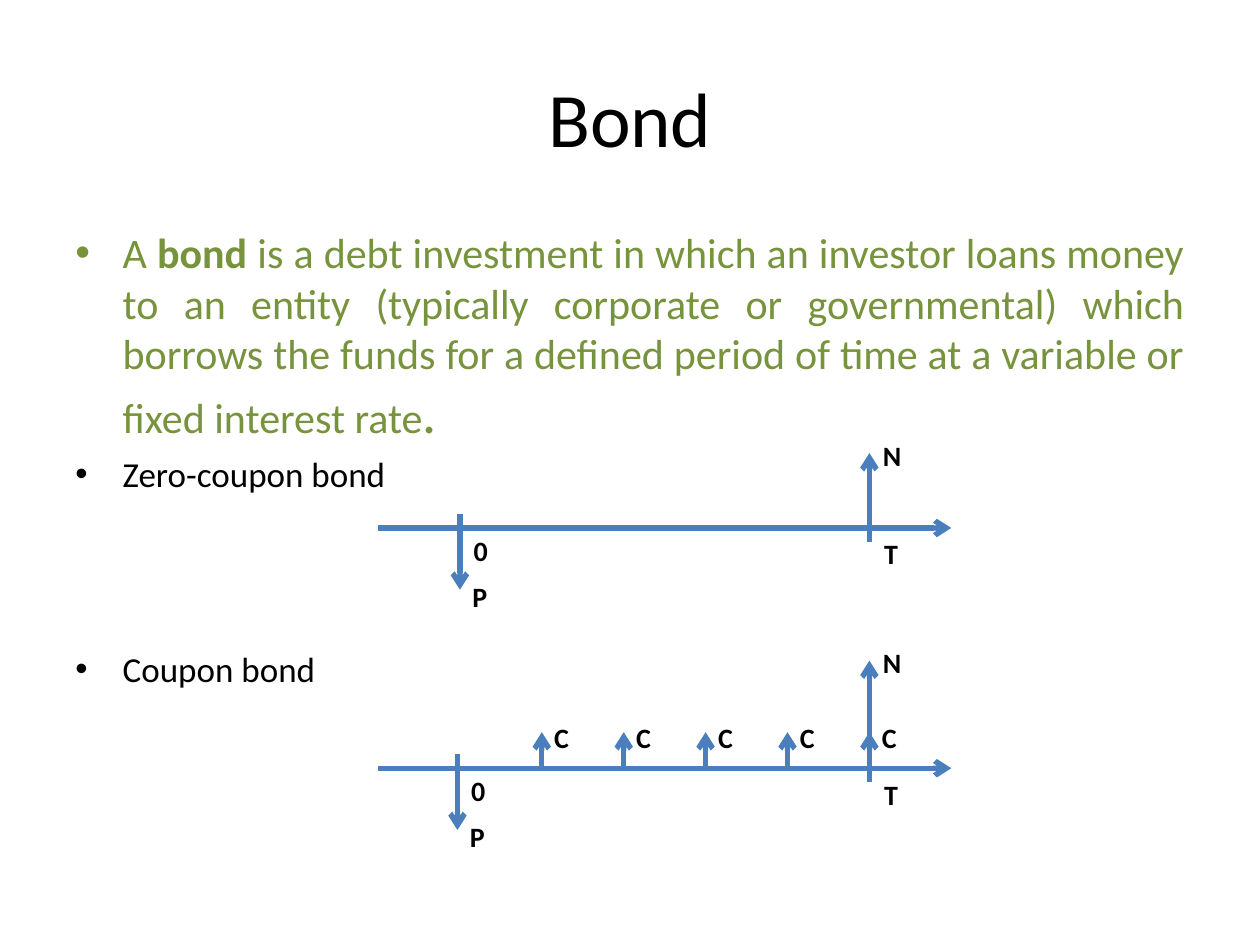
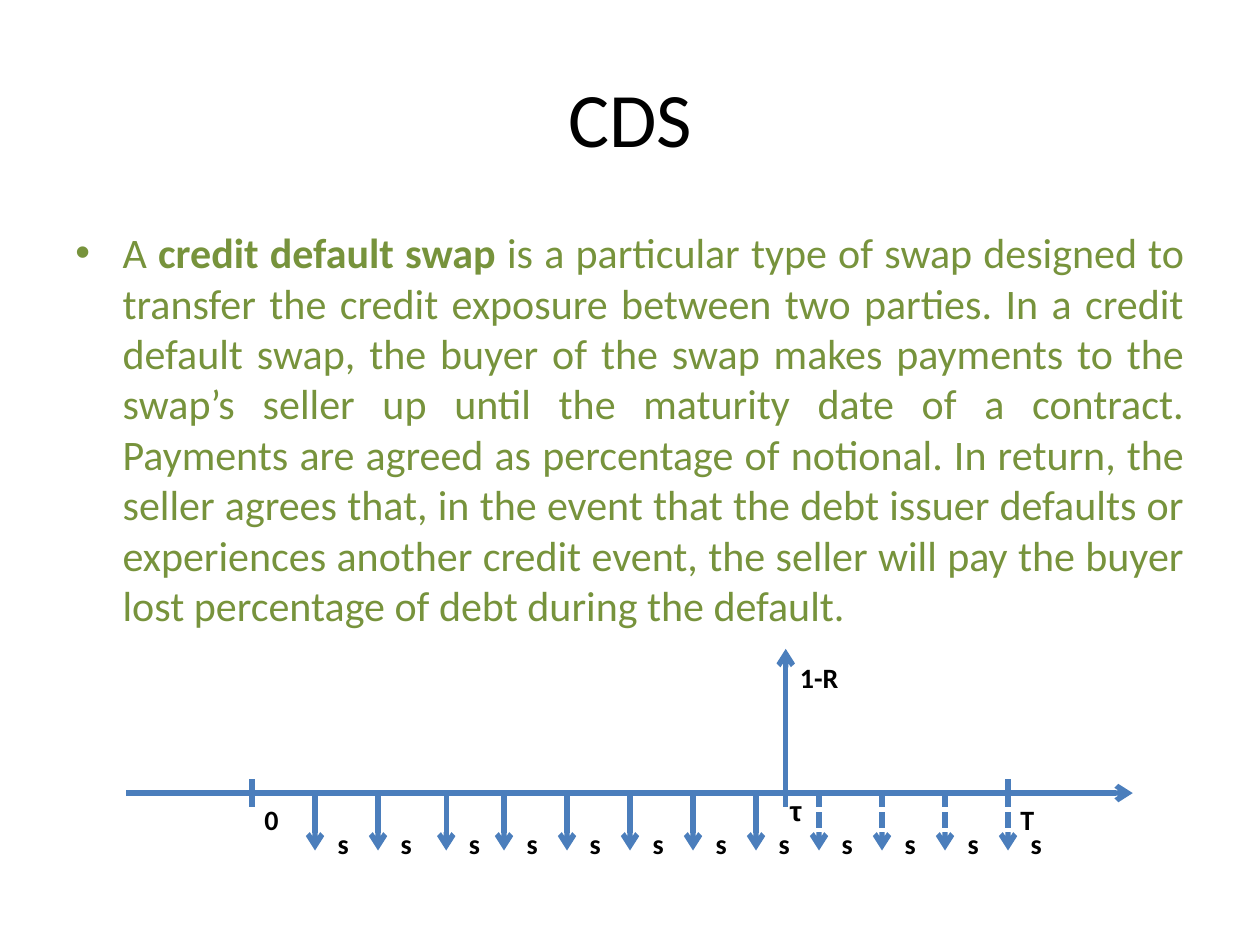
import dataclasses

import pptx
import pptx.dml.color
import pptx.enum.dml
import pptx.enum.text
import pptx.oxml
import pptx.oxml.ns
import pptx.util
from lxml import etree

Pt = pptx.util.Pt
ALIGN = pptx.enum.text.PP_ALIGN


@dataclasses.dataclass(frozen=True)
class Theme:
    """Colours, fonts and sizes shared by the slides."""
    ink: str = "000000"
    green: str = "77933C"
    blue: str = "4B7EBC"
    font: str = "Calibri"
    symbol_font: str = "Arial"
    title_size: int = 44
    lead_size: int = 24
    stop_size: int = 32
    item_size: int = 20
    label_size: int = 16
    line_width: int = 3


THEME = Theme()
LABEL_WIDTHS = {"1-R": 37, "N": 25, "s": 21}


def format_span(span, size, color=THEME.ink, bold=False, font=THEME.font):
    """Set the type of one run."""
    span.font.name = font
    span.font.size = Pt(size)
    span.font.bold = bold
    span.font.color.rgb = pptx.dml.color.RGBColor.from_string(color)


def add_page(deck, title):
    """Add a title-only slide with a centred title."""
    page = deck.slides.add_slide(deck.slide_layouts[5])
    box = page.shapes.title
    box.left, box.top, box.width, box.height = Pt(36), Pt(21.6), Pt(648), Pt(90)
    frame = box.text_frame
    frame.text = title
    frame.vertical_anchor = pptx.enum.text.MSO_ANCHOR.MIDDLE
    para = frame.paragraphs[0]
    para.alignment = ALIGN.CENTER
    format_span(para.runs[0], THEME.title_size)
    return page


def add_body(page):
    """Add the text area below the title and return its frame."""
    box = page.shapes.add_textbox(Pt(36), Pt(126), Pt(648), Pt(356.4))
    box.text_frame.word_wrap = True
    return box.text_frame


def format_bullet(para, color, space_before=0):
    """Give a paragraph a hanging round bullet."""
    para.alignment = ALIGN.JUSTIFY
    para.space_before = Pt(space_before)
    props = para._p.get_or_add_pPr()
    props.set("marL", str(Pt(27)))
    props.set("indent", str(Pt(-27)))
    fill = etree.SubElement(props, pptx.oxml.ns.qn("a:buClr"))
    etree.SubElement(fill, pptx.oxml.ns.qn("a:srgbClr"), val=color)
    etree.SubElement(props, pptx.oxml.ns.qn("a:buFont"), typeface="Arial")
    etree.SubElement(props, pptx.oxml.ns.qn("a:buChar"), char="•")


def add_definition(frame, term, meaning, stop=""):
    """Write the green definition with its term in bold."""
    para = frame.paragraphs[0]
    format_bullet(para, THEME.green)
    for text, size, bold in (("A ", THEME.lead_size, False), (term, THEME.lead_size, True),
                             (meaning, THEME.lead_size, False), (stop, THEME.stop_size, False)):
        if text:
            span = para.add_run()
            span.text = text
            format_span(span, size, THEME.green, bold)


def add_item(frame, text, space_before):
    """Add a black bullet item."""
    para = frame.add_paragraph()
    para.text = text
    format_bullet(para, THEME.ink, space_before)
    format_span(para.runs[0], THEME.item_size)


def add_line(page, start, end, arrow=False, dashed=False):
    """Draw a blue line, optionally with an arrowhead at its end."""
    line = page.shapes.add_connector(1, *(Pt(value) for value in (*start, *end)))
    line.line.color.rgb = pptx.dml.color.RGBColor.from_string(THEME.blue)
    line.line.width = Pt(THEME.line_width)
    if dashed:
        line.line.dash_style = pptx.enum.dml.MSO_LINE.SQUARE_DOT
    props = line.element.spPr
    if arrow:
        stroke = props.find(pptx.oxml.ns.qn("a:ln"))
        etree.SubElement(stroke, pptx.oxml.ns.qn("a:tailEnd"), type="arrow")
    etree.SubElement(props, pptx.oxml.ns.qn("a:effectLst"))


def add_tick(page, x, y):
    """Mark a date on a time axis."""
    add_line(page, (x, y - 8), (x, y + 8))


def add_label(page, text, x, y, font=THEME.font):
    """Add a short bold label with its top left corner at x, y."""
    box = page.shapes.add_textbox(Pt(x), Pt(y), Pt(LABEL_WIDTHS.get(text, 23)), Pt(26.6))
    frame = box.text_frame
    frame.text = text
    frame.word_wrap = False
    frame.auto_size = pptx.enum.text.MSO_AUTO_SIZE.SHAPE_TO_FIT_TEXT
    format_span(frame.paragraphs[0].runs[0], THEME.label_size, bold=True, font=font)


def add_bond_flows(page, issue, y, coupons=0):
    """Draw a bond's payments along a time axis at height y."""
    maturity, step = 496.8, 46.8
    base = y - 18.7 if coupons else y
    add_line(page, (216, y), (543.6, y), arrow=True)
    add_tick(page, issue, y)
    add_tick(page, maturity, y)
    add_line(page, (issue, y + 1.4), (issue, y + 35.3), arrow=True)
    add_line(page, (maturity, base), (maturity, base - 42.8), arrow=True)
    add_label(page, "P", issue, y + 26)
    add_label(page, "0", issue + 0.7, y - 0.5)
    add_label(page, "T", maturity + 1.4, y + 1.5)
    add_label(page, "N", maturity + 0.7, base - 54.7)
    for index in range(coupons):
        x = maturity - index * step
        add_line(page, (x, y + 1), (x, y - 20.6), arrow=True)
        add_label(page, "C", x, y - 31)


def add_swap_flows(page, y):
    """Draw the premiums and the default payment of a swap."""
    start, default, maturity = 144, 449, 576
    add_line(page, (default, y - 1), (default, y - 82.4), arrow=True)
    add_label(page, "1-R", default + 1, y - 79.5)
    add_line(page, (72, y), (647.3, y), arrow=True)
    for x in (start, default, maturity):
        add_tick(page, x, y)
    add_label(page, "0", start, y + 1.8)
    add_label(page, "T", maturity, y + 1.8)
    add_label(page, "τ", default - 4.8, y - 3.2, THEME.symbol_font)
    for x in (180, 216, 255, *range(288, maturity + 1, 36)):
        add_line(page, (x, y - 1), (x, y + 32.8), arrow=True, dashed=x > default)
        add_label(page, "s", x + 5.8, y + 15.5)


def build_bond(deck):
    """Build the slide on bonds."""
    page = add_page(deck, "Bond")
    frame = add_body(page)
    add_definition(
        frame, "bond",
        " is a debt investment in which an investor loans money to an entity (typically "
        "corporate or governmental) which borrows the funds for a defined period of time "
        "at a variable or fixed interest rate", ".")
    add_item(frame, "Zero-coupon bond", 4)
    add_item(frame, "Coupon bond", 87.6)
    add_bond_flows(page, 262.8, 301.7)
    add_bond_flows(page, 261.4, 439, coupons=5)


def build_swap(deck):
    """Build the slide on credit default swaps."""
    page = add_page(deck, "CDS")
    add_definition(
        add_body(page), "credit default swap ",
        "is a particular type of swap designed to transfer the credit exposure between two "
        "parties. In a credit default swap, the buyer of the swap makes payments to the "
        "swap’s seller up until the maturity date of a contract. Payments are agreed as "
        "percentage of notional. In return, the seller agrees that, in the event that the "
        "debt issuer defaults or experiences another credit event, the seller will pay the "
        "buyer lost percentage of debt during the default.")
    add_swap_flows(page, 453.2)


def main():
    """Build and save the deck."""
    deck = pptx.Presentation()
    deck.slide_width, deck.slide_height = Pt(720), Pt(540)
    build_bond(deck)
    build_swap(deck)
    deck.save("out.pptx")


if __name__ == "__main__":
    main()
